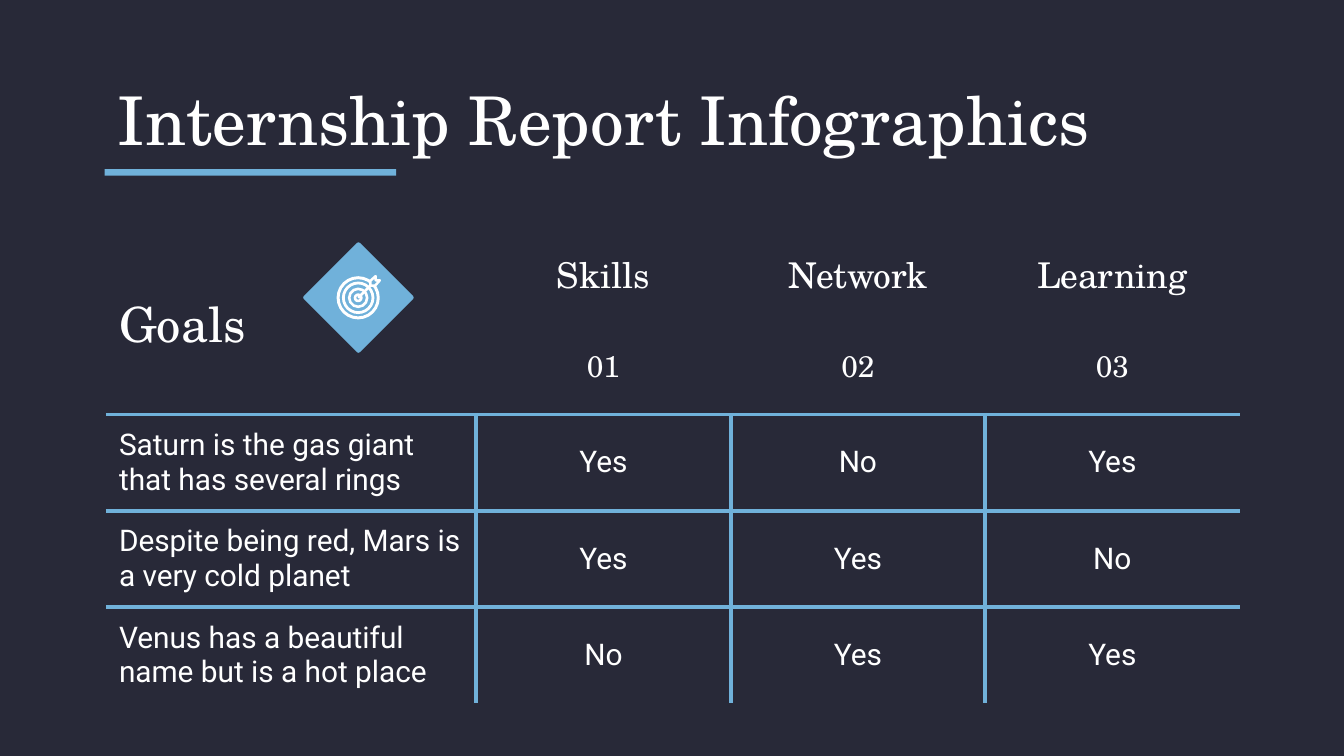
from dataclasses import dataclass

import pptx
from lxml import etree
from pptx import util as u
from pptx.dml import color
from pptx.enum import shapes, text
from pptx.oxml import ns

NAVY, BLUE, WHITE = "282938", "70B1DA", "FFFFFF"
SERIF, SANS = "TeX Gyre Schola", "Roboto"
NO_STYLE = "{2D5ABB26-0587-4C30-8999-92F81FD0307C}"
BORDER = 2.25
INSET = 0.25
COLS = [7.0, 4.81, 4.81, 4.81]
ROWS = [1.6, 1.73, 1.82, 1.82, 1.82]
CENTER_X, CENTER_Y = 6.77, 5.63


@dataclass
class Goal:
    name: str
    answers: tuple[str, ...]


@dataclass
class Ring:
    radius: float
    width: float


HEADINGS = ["Skills", "Network", "Learning"]
GOALS = [
    Goal("Saturn is the gas giant that has several rings", ("Yes", "No", "Yes")),
    Goal("Despite being red, Mars is a very cold planet", ("Yes", "Yes", "No")),
    Goal("Venus has a beautiful name but is a hot place", ("No", "Yes", "Yes")),
]
RINGS = [Ring(0.38, 1.6), Ring(0.28, 1.5), Ring(0.17, 1.4), Ring(0.06, 1.4)]
FLETCHING = [(0.23, -0.23), (0.23, -0.32), (0.33, -0.41), (0.33, -0.33),
             (0.41, -0.33), (0.32, -0.23)]


def rgb(value: str) -> color.RGBColor:
    return color.RGBColor.from_string(value)


def add_xml(parent, tag: str, **attrs: str):
    return etree.SubElement(parent, ns.qn(tag), **attrs)


def write(tf, content: str, *, size: float, font: str = SANS,
          align=text.PP_ALIGN.LEFT) -> None:
    p = tf.paragraphs[0]
    p.alignment = align
    r = p.add_run()
    r.text = content
    r.font.size = u.Pt(size)
    r.font.name = font
    r.font.bold = False
    r.font.color.rgb = rgb(WHITE)


def add_border(cell, side: str) -> None:
    ln = add_xml(cell._tc.get_or_add_tcPr(), f"a:ln{side}", w=str(u.Pt(BORDER)))
    add_xml(add_xml(ln, "a:solidFill"), "a:srgbClr", val=BLUE)


def fill_cell(cell, content: str, **fmt) -> None:
    cell.margin_left = cell.margin_right = u.Cm(INSET)
    cell.margin_top = cell.margin_bottom = u.Cm(INSET)
    cell.vertical_anchor = text.MSO_ANCHOR.MIDDLE
    write(cell.text_frame, content, **fmt)


def style_shape(sp, fill: str | None = None, line: str | None = None,
                width: float = BORDER) -> None:
    sp.shadow.inherit = False
    if fill:
        sp.fill.solid()
        sp.fill.fore_color.rgb = rgb(fill)
    else:
        sp.fill.background()
    if line:
        sp.line.color.rgb = rgb(line)
        sp.line.width = u.Pt(width)
        add_xml(sp.line._get_or_add_ln(), "a:round")
    else:
        sp.line.fill.background()


def add_title(s) -> None:
    sp = s.shapes.title
    sp.left, sp.top, sp.width, sp.height = map(u.Cm, (1.98, 1.5, 21.44, 1.5))
    tf = sp.text_frame
    tf.auto_size = text.MSO_AUTO_SIZE.NONE
    tf.word_wrap = True
    tf.vertical_anchor = text.MSO_ANCHOR.MIDDLE
    tf.margin_left = tf.margin_right = u.Cm(INSET)
    tf.margin_top = tf.margin_bottom = u.Cm(INSET)
    write(tf, "Internship Report Infographics", size=36, font=SERIF)
    bar = s.shapes.add_shape(shapes.MSO_SHAPE.RECTANGLE,
                             *map(u.Cm, (1.98, 3.2, 5.51, 0.12)))
    style_shape(bar, fill=BLUE)


def add_goals_table(s) -> None:
    frame = s.shapes.add_table(len(ROWS), len(COLS), u.Cm(2), u.Cm(4.39),
                               u.Cm(sum(COLS)), u.Cm(sum(ROWS)))
    table = frame.table
    table.first_row = table.horz_banding = False
    table._tbl.tblPr.find(ns.qn("a:tableStyleId")).text = NO_STYLE
    for col, width in zip(table.columns, COLS):
        col.width = u.Cm(width)
    for row, height in zip(table.rows, ROWS):
        row.height = u.Cm(height)

    last_row, last_col = len(ROWS) - 1, len(COLS) - 1
    for i in range(len(ROWS)):
        for j in range(len(COLS)):
            cell = table.cell(i, j)
            sides = {"L": i > 1 and j > 0, "R": i > 1 and j < last_col,
                     "T": i > 1, "B": 0 < i < last_row}
            for side, shown in sides.items():
                if shown:
                    add_border(cell, side)
            cell.fill.background()

    table.cell(0, 0).merge(table.cell(1, 0))
    fill_cell(table.cell(0, 0), "Goals", size=26, font=SERIF)
    center = text.PP_ALIGN.CENTER
    for j, heading in enumerate(HEADINGS, 1):
        fill_cell(table.cell(0, j), heading, size=19, font=SERIF, align=center)
        fill_cell(table.cell(1, j), f"{j:02}", size=16, font=SERIF, align=center)
    for i, goal in enumerate(GOALS, 2):
        fill_cell(table.cell(i, 0), goal.name, size=16)
        for j, answer in enumerate(goal.answers, 1):
            fill_cell(table.cell(i, j), answer, size=16, align=center)


def add_ring(s, ring: Ring) -> None:
    sp = s.shapes.add_shape(
        shapes.MSO_SHAPE.OVAL, u.Cm(CENTER_X - ring.radius),
        u.Cm(CENTER_Y - ring.radius), u.Cm(2 * ring.radius), u.Cm(2 * ring.radius))
    style_shape(sp, line=WHITE, width=ring.width)


def add_target(s) -> None:
    diamond = s.shapes.add_shape(shapes.MSO_SHAPE.DIAMOND,
                                 *map(u.Cm, (5.77, 4.62, 2.01, 2.01)))
    style_shape(diamond, fill=BLUE, line=BLUE)
    for ring in RINGS:
        add_ring(s, ring)
    shaft = s.shapes.add_connector(
        shapes.MSO_CONNECTOR.STRAIGHT, u.Cm(CENTER_X), u.Cm(CENTER_Y),
        u.Cm(CENTER_X + 0.28), u.Cm(CENTER_Y - 0.28))
    shaft.line.color.rgb = rgb(WHITE)
    shaft.line.width = u.Pt(1.4)
    add_xml(shaft._element.spPr, "a:effectLst")
    points = [(u.Cm(CENTER_X + x), u.Cm(CENTER_Y + y)) for x, y in FLETCHING]
    builder = s.shapes.build_freeform(*points[0])
    builder.add_line_segments(points[1:], close=True)
    style_shape(builder.convert_to_shape(), fill=BLUE, line=WHITE, width=1.3)


def main() -> None:
    prs = pptx.Presentation()
    prs.slide_width, prs.slide_height = u.Cm(25.4), u.Cm(14.29)
    s = prs.slides.add_slide(prs.slide_layouts[5])
    s.background.fill.solid()
    s.background.fill.fore_color.rgb = rgb(NAVY)
    add_title(s)
    add_goals_table(s)
    add_target(s)
    prs.save("out.pptx")


if __name__ == "__main__":
    main()
